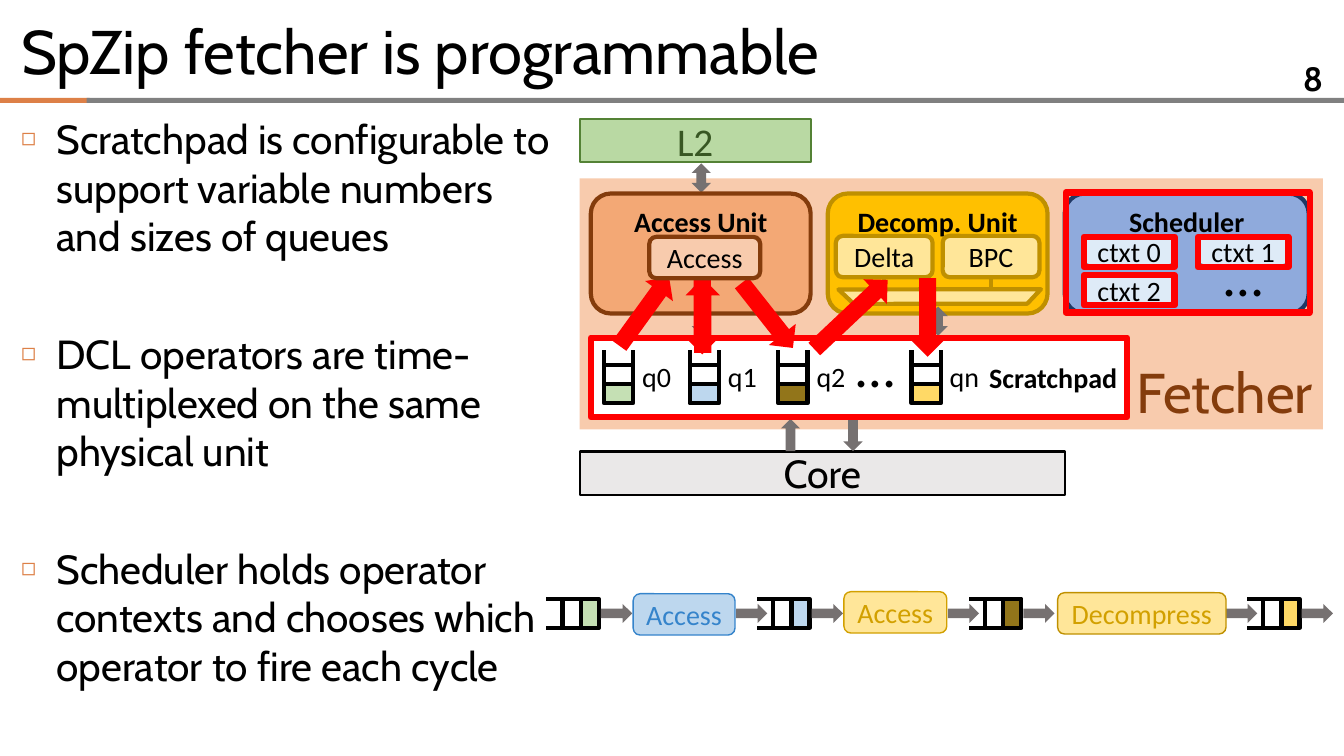
from lxml import etree
from pptx import Presentation, util as u
from pptx.dml.color import RGBColor
from pptx.enum import shapes, text
from pptx.oxml.ns import qn

PX = 9144  # EMU per px: 100 px to the inch
KIND = shapes.MSO_SHAPE
ALIGN = text.PP_ALIGN
ANCHOR = text.MSO_ANCHOR

BLACK, WHITE, RED, GREY = "000000", "FFFFFF", "FF0000", "767171"
ORANGE, PEACH, BROWN = "DD8047", "F8CBAD", "843C0C"
GOLD, LIGHT_GOLD, OCHRE = "BF9000", "FFE699", "D2A000"
LIGHT_BLUE, BLUE, NAVY = "BDD7EE", "3584CB", "203864"
QUEUE_COLOURS = ["C5E0B4", LIGHT_BLUE, "92751A", "FFD966"]


def colour(hex_string):
    return RGBColor.from_string(hex_string)


def px(length):
    return u.Emu(length * PX)


class Painter:
    """Holds the text style and the current slide."""

    heading_font = "Cabin"
    label_font = "Calibri"
    label_size = 20

    def __init__(self, page):
        self.page = page

    def style(self, para, size=None, font=None, ink=BLACK, bold=False, align=ALIGN.LEFT):
        para.alignment = align
        para.font.size = u.Pt(size or self.label_size)
        para.font.name = font or self.label_font
        para.font.bold = bold
        para.font.color.rgb = colour(ink)

    def place(self, box, left, top, width, height):
        box.left, box.top = px(left), px(top)
        box.width, box.height = px(width), px(height)

    def title(self, words, *area):
        box = self.page.shapes.title
        self.place(box, *area)
        frame = box.text_frame
        frame.text = words
        frame.auto_size = text.MSO_AUTO_SIZE.NONE
        frame.vertical_anchor = ANCHOR.MIDDLE
        self.style(frame.paragraphs[0], 44, self.heading_font)

    def bullets(self, items, *area):
        box = self.page.placeholders[1]
        self.place(box, *area)
        frame = box.text_frame
        frame.text = "\n".join(items)
        frame.auto_size = text.MSO_AUTO_SIZE.NONE
        for index, para in enumerate(frame.paragraphs):
            para.space_before = u.Pt(49 if index else 7)
            props = para._p.get_or_add_pPr()
            props.set("marL", str(px(35)))
            props.set("indent", str(px(-35)))
            tint = etree.SubElement(props, qn("a:buClr"))
            etree.SubElement(tint, qn("a:srgbClr"), val=ORANGE)
            etree.SubElement(props, qn("a:buSzPct"), val="60000")
            etree.SubElement(props, qn("a:buChar"), char="◻")
            self.style(para, 29, self.heading_font)

    def shape(self, kind, left, top, width, height, fill=None, line=None, weight=3,
              words="", anchor=ANCHOR.MIDDLE, turn=0, adjust=None, **looks):
        box = self.page.shapes.add_shape(kind, px(left), px(top), px(width), px(height))
        box.shadow.inherit = False
        box.rotation = turn
        if adjust is not None:
            box.adjustments[0] = adjust
        if fill:
            box.fill.solid()
            box.fill.fore_color.rgb = colour(fill)
        else:
            box.fill.background()
        if line:
            box.line.color.rgb = colour(line)
            box.line.width = u.Pt(weight)
        else:
            box.line.fill.background()
        if words:
            box.text_frame.text = words
            box.text_frame.vertical_anchor = anchor
            self.style(box.text_frame.paragraphs[0], **{"align": ALIGN.CENTER, **looks})
        return box

    def arrow(self, left, top, width, height, fill=GREY, turn=0, kind=KIND.RIGHT_ARROW):
        self.shape(kind, left, top, width, height, fill, turn=turn)

    def label(self, words, left, top, width, height, wrap=False, anchor=ANCHOR.TOP, **looks):
        box = self.page.shapes.add_textbox(px(left), px(top), px(width), px(height))
        frame = box.text_frame
        frame.word_wrap = wrap
        frame.vertical_anchor = anchor
        frame.text = words
        self.style(frame.paragraphs[0], **looks)

    def line(self, x1, y1, x2, y2, ink=BLACK, start=None):
        wire = self.page.shapes.add_connector(
            shapes.MSO_CONNECTOR.STRAIGHT, px(x1), px(y1), px(x2), px(y2))
        wire.line.color.rgb = colour(ink)
        wire.line.width = u.Pt(3)
        etree.SubElement(wire._element.spPr, qn("a:effectLst"))
        if start is not None:
            wire.begin_connect(start, 2)

    def queue(self, left, top, fill, upright=False):
        """Two open rails leading to an empty cell and a filled cell."""
        for cell, paint in enumerate([None, fill]):
            if upright:
                area = (left, top + 15 + 19 * cell, 29, 19)
            else:
                area = (left + 16 + 18 * cell, top, 18, 29)
            self.shape(KIND.RECTANGLE, *area, paint, BLACK)
        for rail in (0, 29):
            if upright:
                self.line(left + rail, top + 15, left + rail, top)
            else:
                self.line(left + 16, top + rail, left, top + rail)


def build():
    deck = Presentation()
    deck.slide_width, deck.slide_height = px(1333), px(750)
    draw = Painter(deck.slides.add_slide(deck.slide_layouts[1]))

    # Header and list
    draw.shape(KIND.RECTANGLE, 0, 97, 89, 5, ORANGE)
    draw.shape(KIND.RECTANGLE, 86, 97, 1247, 5, "808080")
    draw.title("SpZip fetcher is programmable", 11, 8, 1311, 83)
    draw.label("8", 1222, 63, 100, 28, wrap=True, anchor=ANCHOR.MIDDLE, size=24,
               font=draw.heading_font, bold=True, align=ALIGN.RIGHT)
    draw.bullets([
        "Scratchpad is configurable to support variable numbers and sizes of queues",
        "DCL operators are time-multiplexed on the same physical unit",
        "Scheduler holds operator contexts and chooses which operator to fire each cycle",
    ], 11, 108, 546, 633)

    # Fetcher with its access and decompression units
    draw.shape(KIND.RECTANGLE, 575, 177, 737, 249, PEACH, words="Fetcher", anchor=ANCHOR.BOTTOM,
               size=40, font=draw.heading_font, ink=BROWN, align=ALIGN.RIGHT)
    draw.arrow(686, 162, 19, 29, kind=KIND.UP_DOWN_ARROW)
    for name, left, fill, edge in [("Access Unit", 586, "F3A875", BROWN),
                                   ("Decomp. Unit", 821, "FFC000", GOLD)]:
        draw.shape(KIND.ROUNDED_RECTANGLE, left, 192, 218, 119, fill, edge,
                   words=name, anchor=ANCHOR.TOP, bold=True)
    operators = [draw.shape(KIND.ROUNDED_RECTANGLE, left, 234, 96, 41, LIGHT_GOLD, GOLD, words=name)
                 for name, left in [("Delta", 829), ("BPC", 935)]]
    draw.shape(KIND.DIAGONAL_STRIPE, 859, 218, 146, 138, LIGHT_GOLD, GOLD, turn=223.3, adjust=0.857)
    for operator, middle in zip(operators, (877, 983)):
        draw.line(middle, 275, middle, 287, GOLD, start=operator)

    # Memory and core around the fetcher
    draw.shape(KIND.RECTANGLE, 575, 118, 229, 43, "B9D9A3", "548235", 1.5,
               words="L2", size=28, ink="385723")
    draw.arrow(686, 277, 19, 56, kind=KIND.UP_DOWN_ARROW)
    draw.arrow(921, 304, 19, 29, kind=KIND.UP_DOWN_ARROW)
    draw.shape(KIND.RECTANGLE, 575, 448, 481, 43, "EAE8E8", BLACK, 1.5,
               words="Core", size=28, font=draw.heading_font)
    draw.arrow(768, 422, 32, 19, turn=270)
    draw.arrow(830, 422, 32, 19, turn=90)

    # Scratchpad queues
    draw.shape(KIND.RECTANGLE, 587, 335, 531, 79, WHITE, GREY, 2.25,
               words="Scratchpad", bold=True, align=ALIGN.RIGHT)
    for name, left, fill in zip(["q0", "q1", "q2", "qn"], [599, 684, 772, 904], QUEUE_COLOURS):
        draw.queue(left, 347, fill, upright=True)
        draw.label(name, left + 28, 352, 49, 44)
    draw.label("…", 839, 324, 59, 77, size=40)

    # Red transfers between queues and units
    for left, top, width, turn in [(597, 292, 84, 305.9), (659, 297, 75, 90), (660, 296, 74, 270),
                                   (720, 296, 82, 51.7), (794, 295, 100, 316.7), (881, 298, 78, 90)]:
        draw.arrow(left, top, width, 34, RED, turn)
    draw.shape(KIND.ROUNDED_RECTANGLE, 644, 235, 110, 41, PEACH, BROWN, words="Access")
    draw.shape(KIND.RECTANGLE, 586, 335, 532, 79, line=RED, weight=4.5)

    # Operator pipeline
    for index, (left, fill) in enumerate(zip([542, 751, 961, 1237], QUEUE_COLOURS)):
        draw.queue(left, 594, fill)
        if index:
            draw.arrow(left - 21, 599, 31, 19)
        draw.arrow(left + 54, 599, 31, 19)
    for name, left, top, width, fill, edge, ink in [
            ("Access", 628, 589, 101, LIGHT_BLUE, BLUE, BLUE),
            ("Access", 837, 587, 102, LIGHT_GOLD, OCHRE, OCHRE),
            ("Decompress", 1049, 588, 167, LIGHT_GOLD, GOLD, OCHRE)]:
        draw.shape(KIND.ROUNDED_RECTANGLE, left, top, width, 41, fill, edge, 1, words=name, ink=ink)

    # Scheduler and its contexts
    draw.shape(KIND.ROUNDED_RECTANGLE, 1056, 192, 242, 119, "8FAADC", NAVY,
               words="Scheduler", anchor=ANCHOR.TOP, bold=True)
    draw.shape(KIND.RECTANGLE, 1057, 191, 242, 119, line=RED, weight=4.5)
    draw.label("…", 1204, 234, 59, 77, size=40)
    for index in range(3):
        row, column = divmod(index, 2)
        corner = 1075 + 113 * column, 235 + 38 * row
        draw.shape(KIND.ROUNDED_RECTANGLE, *corner, 90, 29, "DEEBF7", NAVY, words=f"ctxt {index}")
        draw.shape(KIND.RECTANGLE, *corner, 90, 30, line=RED, weight=4.5)

    deck.save("out.pptx")


if __name__ == "__main__":
    build()
